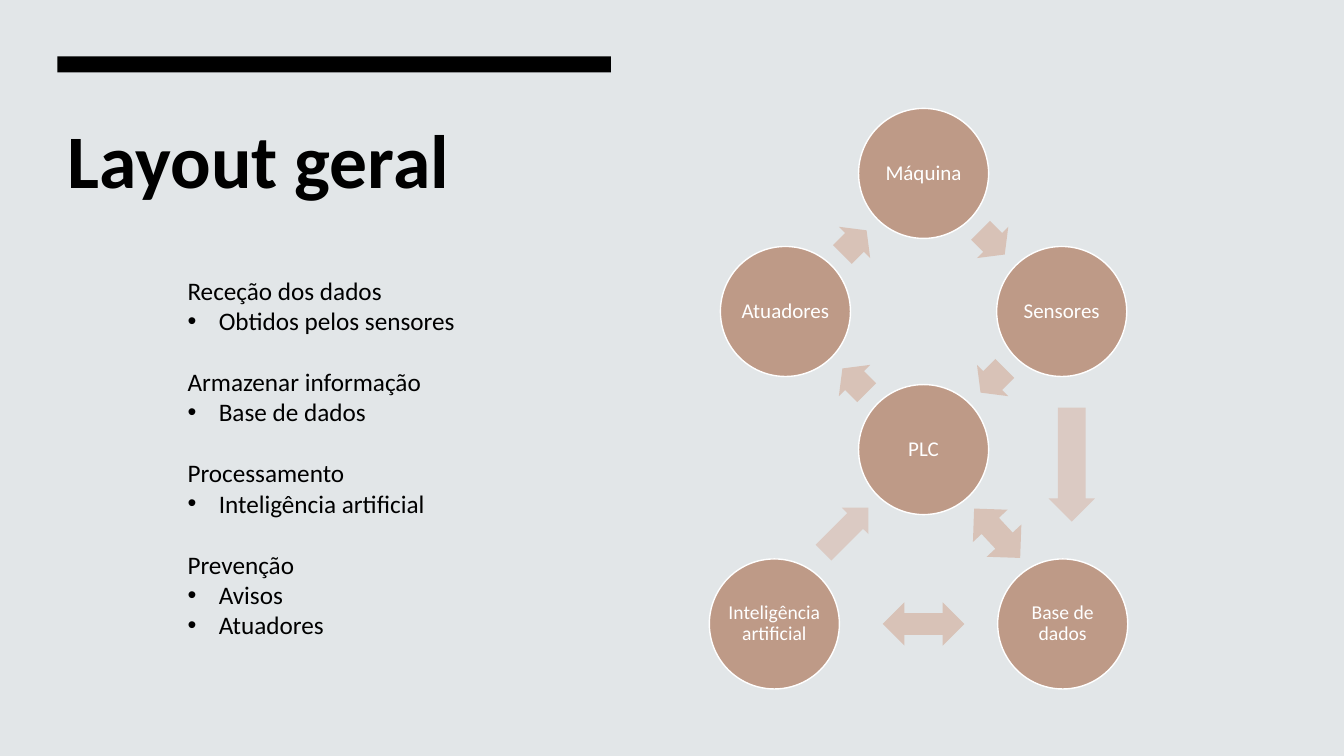
from math import cos, radians, sin

from lxml import etree
from pptx import Presentation
from pptx.dml.color import RGBColor
from pptx.enum.shapes import MSO_SHAPE
from pptx.enum.text import MSO_ANCHOR, MSO_AUTO_SIZE, PP_ALIGN
from pptx.oxml.ns import qn
from pptx.util import Pt

RECT, OVAL = MSO_SHAPE.RECTANGLE, MSO_SHAPE.OVAL
RIGHT, BOTH = MSO_SHAPE.RIGHT_ARROW, MSO_SHAPE.LEFT_RIGHT_ARROW
TOP, MIDDLE = MSO_ANCHOR.TOP, MSO_ANCHOR.MIDDLE
LEFT, CENTER = PP_ALIGN.LEFT, PP_ALIGN.CENTER
FIXED = MSO_AUTO_SIZE.NONE

PX = 9144  # 100 px to the inch
FONT = "Calibri"
COLORS = {
    "back": "E2E6E8",
    "black": "000000",
    "white": "FFFFFF",
    "node": "BE9A87",
    "arrow": "D8C2B7",
    "pale": "DBCAC3",
}
TOPICS = [
    ("Receção dos dados", ["Obtidos pelos sensores"]),
    ("Armazenar informação", ["Base de dados"]),
    ("Processamento", ["Inteligência artificial"]),
    ("Prevenção", ["Avisos", "Atuadores"]),
]
RING = ["Máquina", "Sensores", "PLC", "Atuadores"]


def color(name):
    return RGBColor.from_string(COLORS[name])


def add_run(para, text, size, tone, bold=False):
    run = para.add_run()
    run.text = text
    font = run.font
    font.name, font.size, font.bold = FONT, Pt(size), bold
    font.color.rgb = color(tone)


def place(shape, box):
    shape.left, shape.top, shape.width, shape.height = (round(n * PX) for n in box)


def add_solid(slide, kind, mid, size, fill):
    """Add a borderless shape centred on mid."""
    (x, y), (w, h) = mid, size
    box = (x - w / 2, y - h / 2, w, h)
    shape = slide.shapes.add_shape(kind, *(round(n * PX) for n in box))
    shape.shadow.inherit = False
    shape.fill.solid()
    shape.fill.fore_color.rgb = color(fill)
    shape.line.fill.background()
    return shape


def add_node(slide, mid, lines, size):
    node = add_solid(slide, OVAL, mid, (129, 129), "node")
    node.line.color.rgb = color("white")
    node.line.width = Pt(1)
    frame = node.text_frame
    frame.word_wrap = False
    frame.vertical_anchor = MIDDLE
    para = frame.paragraphs[0]
    para.alignment = CENTER
    para.line_spacing = 0.9
    for i, line in enumerate(lines):
        if i:
            para.add_line_break()
        add_run(para, line, size, "white")


def add_arrow(slide, kind, mid, size, turn, fill="arrow"):
    arrow = add_solid(slide, kind, mid, size, fill)
    arrow.rotation = turn
    if kind == RIGHT:
        arrow.adjustments[0] = 0.6


def set_frame(shape):
    frame = shape.text_frame
    frame.word_wrap = True
    frame.auto_size = FIXED
    frame.vertical_anchor = TOP
    return frame


def add_title(slide, box):
    x, y, w, h = box
    add_solid(slide, RECT, (x + w / 2, y + 8), (w, 16), "black")
    title = slide.shapes.title
    place(title, (x, y + 51, w, h - 51))
    para = set_frame(title).paragraphs[0]
    para.alignment = LEFT
    add_run(para, "Layout geral", 54, "black", True)


def set_bullet(para, shown):
    props = para._p.get_or_add_pPr()
    dent = 31 * PX if shown else 0
    props.set("marL", str(dent))
    props.set("indent", str(-dent))
    if shown:
        etree.SubElement(props, qn("a:buFont")).set("typeface", "Arial")
        etree.SubElement(props, qn("a:buChar")).set("char", "•")
    else:
        etree.SubElement(props, qn("a:buNone"))


def add_topics(slide, box):
    body = slide.placeholders[1]
    place(body, box)
    frame = set_frame(body)
    for i, (head, items) in enumerate(TOPICS):
        for j, text in enumerate([head, *items]):
            para = frame.add_paragraph() if i or j else frame.paragraphs[0]
            set_bullet(para, j > 0)
            para.alignment = LEFT
            para.space_before = Pt(22 if i and not j else 0)
            add_run(para, text, 18, "black")


def add_cycle(slide, box):
    """Draw the ring of four nodes, with the two data nodes below it."""
    left, top, w, h = box
    mid_x, mid_y, reach = left + 212, top + 202, 137
    for i, name in enumerate(RING):
        angle = radians(90 * i - 90)
        spot = (mid_x + reach * cos(angle), mid_y + reach * sin(angle))
        add_node(slide, spot, [name], 15)
        angle = radians(90 * i - 45)
        gap = reach * sin(radians(45))
        spot = (mid_x + gap * cos(angle), mid_y + gap * sin(angle))
        add_arrow(slide, RIGHT, spot, (34, 44), 90 * i + 45)
    base = top + h - 64
    add_node(slide, (left + w - 64, base), ["Base de", "dados"], 14)
    add_node(slide, (left + 64, base), ["Inteligência", "artificial"], 14)
    add_arrow(slide, BOTH, (mid_x, base), (81, 43), 0)
    add_arrow(slide, BOTH, (mid_x + 73, base - 90), (67, 47), 227)
    add_arrow(slide, RIGHT, (mid_x + 147, base - 158), (113, 46), 90, "pale")
    add_arrow(slide, RIGHT, (mid_x - 77, base - 93), (63, 37), 315, "pale")


def main():
    deck = Presentation()
    deck.slide_width, deck.slide_height = 1333 * PX, 750 * PX
    slide = deck.slides.add_slide(deck.slide_layouts[1])
    slide.background.fill.solid()
    slide.background.fill.fore_color.rgb = color("back")
    add_title(slide, (57, 56, 549, 584))
    add_cycle(slide, (704, 107, 414, 576))
    add_topics(slide, (176, 268, 310, 374))
    deck.save("out.pptx")


if __name__ == "__main__":
    main()
